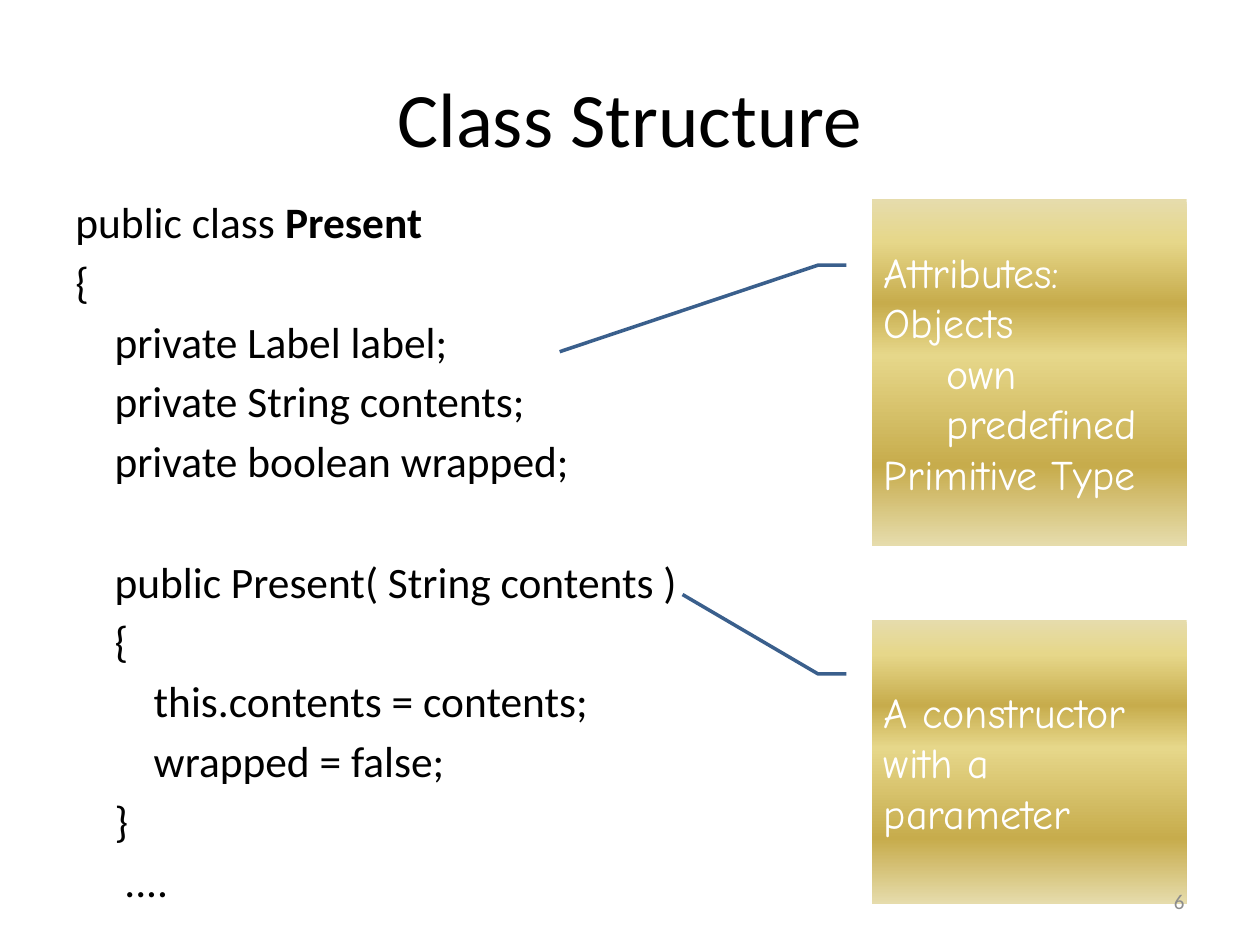
from dataclasses import dataclass

from lxml import etree
from pptx import Presentation
from pptx import util as u
from pptx.dml.color import RGBColor
from pptx.enum import shapes, text
from pptx.oxml.ns import qn

COLORS = {"ink": "000000", "number": "8C8C8C", "callout_text": "FFFFFF", "line": "3A5F8C"}
GOLD_STOPS = [(0, "E6DCAC"), (12, "E6D78A"), (30, "C7AC4C"),
              (45, "E6D78A"), (77, "C7AC4C"), (100, "E6DCAC")]
BODY_FONT, CALLOUT_FONT = "Calibri", "Comic Neue"
CODE_SIZE = 24.8
CODE_INDENT = 0.79  # cm for one nesting level
LINE_GAP, BLOCK_GAP = 4.4, 39.1  # points before a line, before a new block


@dataclass
class CodeLine:
    text: str
    level: float = 0
    bold_part: str = ""
    gap: float = LINE_GAP


@dataclass
class Callout:
    top: float
    height: float
    pointer: tuple[float, float]  # line end, as shares of height and width
    lines: list[tuple[str, int]]  # text and level


CODE = [
    CodeLine("public class ", bold_part="Present"),
    CodeLine("{"),
    CodeLine("private Label label;", 1),
    CodeLine("private String contents;", 1),
    CodeLine("private boolean wrapped;", 1),
    CodeLine("public Present( String contents )", 1, gap=BLOCK_GAP),
    CodeLine("{", 1),
    CodeLine("this.contents = contents;", 2),
    CodeLine("wrapped = false;", 2),
    CodeLine("}", 1),
    CodeLine("....", 1.25),
]
CALLOUTS = [
    Callout(12.5, 5.72, (-0.09, -0.6), [("A constructor", 0), ("with a parameter", 0)]),
    Callout(4.02, 6.98, (0.44, -0.99),
            [("Attributes:", 0), ("Objects", 0), ("own", 1), ("predefined", 1),
             ("Primitive Type", 0)]),
]


def format_runs(paragraph, size: float, font: str, color: str) -> None:
    for run in paragraph.runs:
        run.font.size = u.Pt(size)
        run.font.name = font
        run.font.color.rgb = RGBColor.from_string(COLORS[color])


def indent(paragraph, left: float) -> None:
    properties = paragraph._p.get_or_add_pPr()
    properties.set("marL", str(u.Cm(left)))
    properties.set("indent", "0")


def fill_gold(shape) -> None:
    shape.fill.gradient()
    shape.fill.gradient_angle = 270
    stops = shape._element.spPr.find(qn("a:gradFill")).find(qn("a:gsLst"))
    for stop in list(stops):
        stops.remove(stop)
    for position, color in GOLD_STOPS:
        stop = etree.SubElement(stops, qn("a:gs"), pos=str(position * 1000))
        etree.SubElement(stop, qn("a:srgbClr"), val=color)


def add_code(slide, lines: list[CodeLine]) -> None:
    box = slide.shapes.add_textbox(u.Cm(1.27), u.Cm(3.81), u.Cm(22.86), u.Cm(13.21))
    frame = box.text_frame
    frame.word_wrap = True
    for index, line in enumerate(lines):
        paragraph = frame.add_paragraph() if index else frame.paragraphs[0]
        paragraph.text = line.text
        if line.bold_part:
            bold_run = paragraph.add_run()
            bold_run.text = line.bold_part
            bold_run.font.bold = True
        paragraph.space_before = u.Pt(line.gap)
        indent(paragraph, line.level * CODE_INDENT)
        format_runs(paragraph, CODE_SIZE, BODY_FONT, "ink")


def add_callout(slide, callout: Callout) -> None:
    shape = slide.shapes.add_shape(
        shapes.MSO_SHAPE.LINE_CALLOUT_2_NO_BORDER,
        u.Cm(17.57), u.Cm(callout.top), u.Cm(6.35), u.Cm(callout.height))
    for index, value in enumerate((0.19, -0.08, 0.19, -0.17, *callout.pointer)):
        shape.adjustments[index] = value
    shape.shadow.inherit = False
    fill_gold(shape)
    shape.line.color.rgb = RGBColor.from_string(COLORS["line"])
    shape.line.width = u.Pt(2)
    frame = shape.text_frame
    frame.word_wrap = True
    frame.vertical_anchor = text.MSO_ANCHOR.MIDDLE
    for index, (words, level) in enumerate(callout.lines):
        paragraph = frame.add_paragraph() if index else frame.paragraphs[0]
        paragraph.text = words
        paragraph.level = level
        paragraph.alignment = text.PP_ALIGN.LEFT
        indent(paragraph, level * 1.27)
        format_runs(paragraph, 24, CALLOUT_FONT, "callout_text")


presentation = Presentation()
presentation.slide_width, presentation.slide_height = u.Cm(25.4), u.Cm(19.05)
slide = presentation.slides.add_slide(presentation.slide_layouts[5])

# Title
title = slide.shapes.title
title.left, title.top, title.width, title.height = u.Cm(1.27), u.Cm(0.76), u.Cm(22.86), u.Cm(3.18)
title.text_frame.text = "Class Structure"
title.text_frame.vertical_anchor = text.MSO_ANCHOR.MIDDLE
title.text_frame.paragraphs[0].alignment = text.PP_ALIGN.CENTER
format_runs(title.text_frame.paragraphs[0], 44, BODY_FONT, "ink")

# Code and its callouts
add_code(slide, CODE)
for callout in CALLOUTS:
    add_callout(slide, callout)

# Slide number
number = slide.shapes.add_textbox(u.Cm(18.2), u.Cm(17.66), u.Cm(5.93), u.Cm(1.01))
number.text_frame.word_wrap = True
number.text_frame.text = "6"
number.text_frame.vertical_anchor = text.MSO_ANCHOR.MIDDLE
number.text_frame.paragraphs[0].alignment = text.PP_ALIGN.RIGHT
format_runs(number.text_frame.paragraphs[0], 12, BODY_FONT, "number")

presentation.save("out.pptx")
